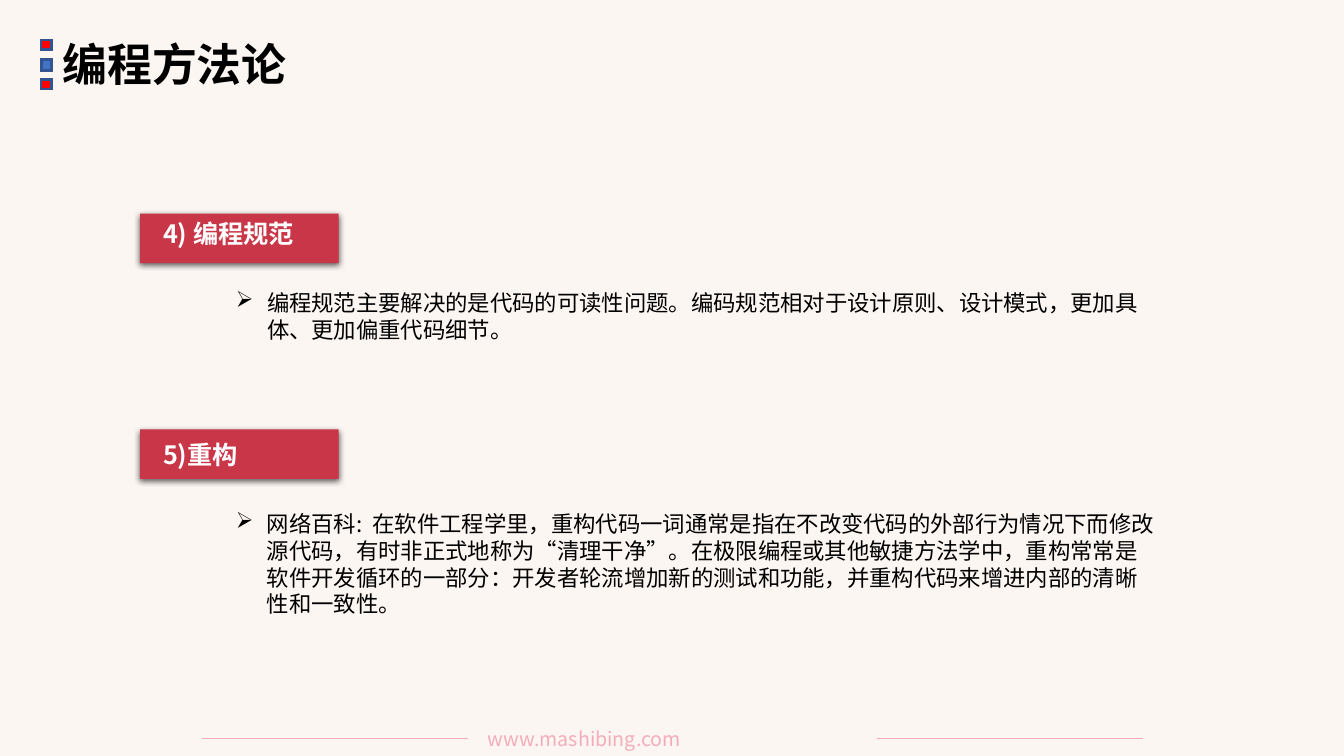
"""Build the slide on coding standards and refactoring."""
from dataclasses import dataclass

from lxml.etree import SubElement
from pptx import Presentation
from pptx.dml.color import RGBColor
from pptx.enum.shapes import MSO_CONNECTOR, MSO_SHAPE
from pptx.enum.text import MSO_ANCHOR, MSO_AUTO_SIZE, PP_ALIGN
from pptx.oxml.ns import qn
from pptx.util import Inches, Pt


@dataclass(frozen=True)
class Theme:
    font: str = "Noto Sans CJK SC"
    paper: str = "FCF6F3"
    ink: str = "000000"
    white: str = "FFFFFF"
    label: str = "C93648"
    pink: str = "F4ACBA"
    red: str = "FF0000"
    blue: str = "4472C4"
    edge: str = "325491"
    title: int = 32
    head: int = 18
    body: int = 16
    foot: int = 14


@dataclass(frozen=True)
class Box:
    left: float
    top: float
    width: float
    height: float

    def emu(self) -> tuple:
        return tuple(Inches(n) for n in (self.left, self.top, self.width, self.height))


@dataclass(frozen=True)
class Topic:
    head: str
    label: Box
    name: Box
    body: str
    area: Box


@dataclass(frozen=True)
class Mark:
    box: Box
    fill: str


THEME = Theme()

TOPICS = [
    Topic("4) 编程规范", Box(1.39, 2.12, 1.97, 0.49), Box(1.52, 2.12, 2.34, 0.4),
          "编程规范主要解决的是代码的可读性问题。编码规范相对于设计原则、设计模式，"
          "更加具 体、更加偏重代码细节。",
          Box(2.24, 2.82, 9.21, 0.64)),
    Topic("5)重构", Box(1.39, 4.26, 1.97, 0.49), Box(1.52, 4.31, 2.34, 0.4),
          "网络百科:  在软件工程学里，重构代码一词通常是指在不改变代码的外部行为情况下"
          "而修改源代码，有时非正式地称为“清理干净”。在极限编程或其他敏捷方法学中，"
          "重构常常是软件开发循环的一部分：开发者轮流增加新的测试和功能，"
          "并重构代码来增进内部的清晰性和一致性。",
          Box(2.24, 5.01, 9.37, 1.18)),
]

MARKS = [
    Mark(Box(0.4, 0.39, 0.12, 0.11), THEME.red),
    Mark(Box(0.4, 0.58, 0.12, 0.13), THEME.blue),
    Mark(Box(0.4, 0.78, 0.12, 0.11), THEME.red),
]


def tint(code: str) -> RGBColor:
    return RGBColor.from_string(code)


def write(shape, text: str, *, size: int, color: str, bold: bool = False,
          align=PP_ALIGN.LEFT, bullet: str = "") -> None:
    frame = shape.text_frame
    frame.word_wrap = True
    frame.auto_size = MSO_AUTO_SIZE.SHAPE_TO_FIT_TEXT
    frame.vertical_anchor = MSO_ANCHOR.TOP
    para = frame.paragraphs[0]
    para.alignment = align
    if bullet:
        props = para._p.get_or_add_pPr()
        props.set("marL", str(Inches(0.31)))
        props.set("indent", str(-Inches(0.31)))
        SubElement(props, qn("a:buChar"), char=bullet)
    run = para.add_run()
    run.text = text
    font = run.font
    font.name, font.size, font.bold = THEME.font, Pt(size), bold
    font.color.rgb = tint(color)
    SubElement(font._element, qn("a:ea"), typeface=THEME.font)


def block(slide, kind, box: Box, fill: str):
    shape = slide.shapes.add_shape(kind, *box.emu())
    shape.shadow.inherit = False
    shape.fill.solid()
    shape.fill.fore_color.rgb = tint(fill)
    return shape


def shade(shape) -> None:
    effects = shape._element.spPr.find(qn("a:effectLst"))
    cast = SubElement(effects, qn("a:outerShdw"), blurRad=str(Pt(4.5)),
                      dist=str(Pt(1.5)), dir="5400000", algn="t", rotWithShape="0")
    color = SubElement(cast, qn("a:srgbClr"), val=THEME.ink)
    SubElement(color, qn("a:alpha"), val="63000")


def footer(slide) -> None:
    for left in (2, 8.7):
        line = slide.shapes.add_connector(
            MSO_CONNECTOR.STRAIGHT, Inches(left), Inches(7.33),
            Inches(left + 2.64), Inches(7.33))
        line.line.color.rgb = tint(THEME.pink)
        line.line.width = Pt(0.5)
        SubElement(line._element.spPr, qn("a:effectLst"))
    site = slide.shapes.add_textbox(*Box(4.74, 7.16, 3.85, 0.34).emu())
    write(site, "www.mashibing.com", size=THEME.foot, color=THEME.pink,
          align=PP_ALIGN.JUSTIFY)


def header(slide) -> None:
    title = slide.shapes.title
    title.left, title.top, title.width, title.height = Box(0.52, 0.31, 5.35, 0.64).emu()
    write(title, "编程方法论", size=THEME.title, color=THEME.ink, bold=True)
    for mark in MARKS:
        shape = block(slide, MSO_SHAPE.BEVEL, mark.box, mark.fill)
        shape.line.color.rgb = tint(THEME.edge)
        shape.line.width = Pt(1)


def section(slide, topic: Topic) -> None:
    label = block(slide, MSO_SHAPE.RECTANGLE, topic.label, THEME.label)
    label.line.fill.background()
    shade(label)
    name = slide.shapes.add_textbox(*topic.name.emu())
    write(name, topic.head, size=THEME.head, color=THEME.white, bold=True)
    body = slide.shapes.add_textbox(*topic.area.emu())
    write(body, topic.body, size=THEME.body, color=THEME.ink, bullet="➢")


def main() -> None:
    deck = Presentation()
    deck.slide_width, deck.slide_height = Inches(13.33), Inches(7.5)
    slide = deck.slides.add_slide(deck.slide_layouts[5])
    slide.background.fill.solid()
    slide.background.fill.fore_color.rgb = tint(THEME.paper)
    footer(slide)
    header(slide)
    for topic in TOPICS:
        section(slide, topic)
    deck.save("out.pptx")


if __name__ == "__main__":
    main()
